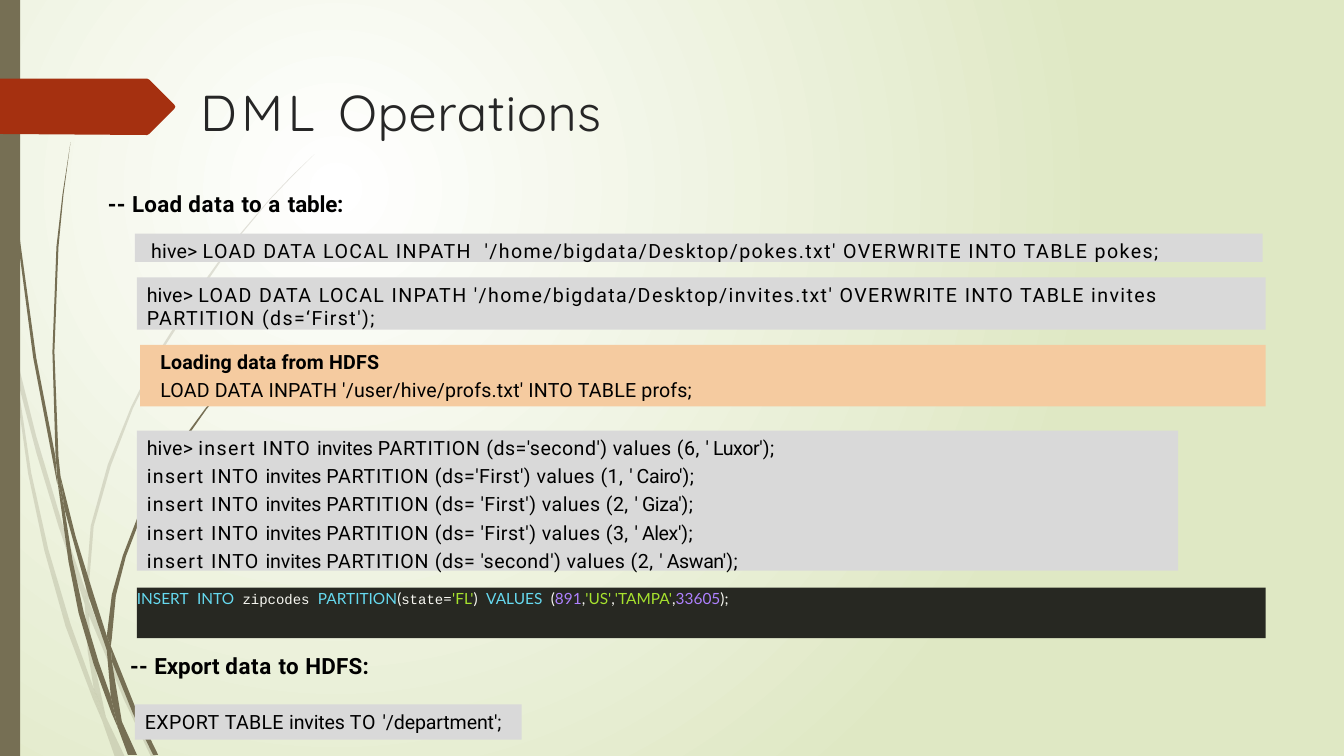
from pptx import Presentation
from pptx.dml.color import RGBColor
from pptx.enum.shapes import MSO_SHAPE
from pptx.enum.text import MSO_ANCHOR, MSO_AUTO_SIZE, PP_ALIGN
from pptx.oxml.ns import qn
from pptx.util import Cm, Pt
from lxml.etree import SubElement

WHITE = RGBColor(0xFF, 0xFF, 0xFF)
PALE_GREEN = RGBColor(0xDF, 0xE8, 0xC4)
OLIVE = RGBColor(0x76, 0x6F, 0x54)
RUST = RGBColor(0xA5, 0x30, 0x10)
CHARCOAL = RGBColor(0x26, 0x26, 0x26)
BLACK = RGBColor(0, 0, 0)
GRAY = RGBColor(0xD9, 0xD9, 0xD9)
ORANGE = RGBColor(0xF5, 0xCB, 0xA0)
EDITOR = RGBColor(0x27, 0x28, 0x22)
KEYWORD = RGBColor(0x66, 0xD9, 0xEF)
PLAIN = RGBColor(0xF8, 0xF8, 0xF2)
STRING = RGBColor(0xA6, 0xE2, 0x2E)
NUMBER = RGBColor(0xAE, 0x81, 0xFF)

WISP_UNIT = Cm(0.0254)
FADED_WISPS = [
    [(0, 282), (9, 322), (11, 350), (10, 344), (0, 299)],
    [(14, 345), (36, 433), (62, 520), (85, 586), (84, 599), (58, 522), (36, 449), (17, 376)],
    [(88, 596), (127, 692), (155, 751), (150, 751), (123, 694), (88, 610)],
    [(11, 350), (17, 376), (31, 469), (48, 545), (70, 619), (93, 683), (101, 714),
     (92, 693), (65, 621), (44, 546), (28, 470)],
    [(85, 586), (88, 596), (88, 608), (91, 646), (105, 711), (93, 683), (87, 646), (84, 599)],
    [(85, 586), (90, 522), (107, 461), (130, 404), (158, 348), (192, 294), (228, 244),
     (268, 197), (289, 175), (312, 153), (290, 175), (268, 198), (229, 245), (194, 296),
     (160, 349), (132, 405), (110, 462), (93, 522), (88, 584), (88, 596)],
    [(93, 683), (105, 711), (124, 751), (114, 751), (101, 714)],
]
SOLID_WISPS = [
    [(3, 0), (4, 0), (5, 48), (8, 109), (19, 232), (36, 355), (55, 453), (57, 481),
     (33, 355), (17, 233), (7, 110), (4, 48)],
    [(60, 472), (75, 532), (93, 590), (106, 631), (106, 645), (88, 592), (64, 505)],
    [(110, 641), (136, 706), (157, 749), (152, 749), (132, 708), (111, 656)],
    [(57, 477), (64, 505), (72, 556), (83, 607), (98, 657), (110, 691), (117, 722),
     (111, 708), (93, 659), (78, 608), (68, 557)],
    [(70, 141), (63, 193), (58, 245), (54, 349), (58, 453), (60, 472), (64, 505),
     (57, 477), (55, 449), (52, 349), (56, 245), (62, 193)],
    [(106, 631), (111, 590), (122, 551), (137, 512), (156, 474), (179, 439), (204, 405),
     (231, 373), (260, 344), (231, 374), (205, 406), (181, 440), (158, 476), (140, 513),
     (125, 552), (115, 591), (111, 633), (110, 641)],
    [(106, 631), (110, 641), (111, 656), (121, 716), (136, 749), (127, 749), (117, 722),
     (110, 691), (106, 645)],
]
ARROW = [(0, 78), (146, 78), (148, 79), (173, 104), (174, 106), (173, 108), (148, 133),
         (146, 134), (0, 133)]

INSERTED_ROWS = [
    ("(ds='First') values (1, ", "' Cairo'"),
    ("(ds= 'First') values (2, ", "' Giza'"),
    ("(ds= 'First') values (3, ", "' Alex'"),
    ("(ds= 'second') values (2, ", "' Aswan'"),
]
ZIPCODE_TOKENS = [
    ("INSERT", KEYWORD), (" ", None), ("INTO", KEYWORD), (" zipcodes ", None),
    ("PARTITION", KEYWORD), ("(", PLAIN), ("state", None), ("=", PLAIN), ("'FL'", STRING),
    (")", PLAIN), (" ", None), ("VALUES", KEYWORD), (" ", None), ("(", PLAIN),
    ("891", NUMBER), (",", PLAIN), ("'US'", STRING), (",", PLAIN), ("'TAMPA'", STRING),
    (",", PLAIN), ("33605", NUMBER), (");", PLAIN),
]


def insert_line(values, city):
    """Return the spaced runs of one insert statement."""
    return [("insert ", 1), ("INTO ", 0.8), ("invites ", -0.1), ("PARTITION ", 0.5),
            (values, 0.3), (city, -0.3), (");", 0.3)]


class SlideBuilder:
    """Hold the current slide and draw its elements in one style."""

    def __init__(self, slide):
        """Keep the slide to draw on."""
        self.slide = slide

    def background(self, inner, outer):
        """Fill the background with a radial gradient."""
        fill = self.slide.background.fill
        fill.gradient()
        for stop, color in zip(fill.gradient_stops, (inner, outer)):
            stop.color.rgb = color
        gradient = next(self.slide.element.iter(qn("a:gradFill")))
        gradient.remove(gradient.find(qn("a:lin")))
        circle = SubElement(gradient, qn("a:path"), path="circle")
        SubElement(circle, qn("a:fillToRect"), l="50000", t="50000", r="100000", b="100000")

    def paint(self, shape, color, alpha=None):
        """Give a shape a flat fill without line or shadow."""
        shape.shadow.inherit = False
        shape.line.fill.background()
        shape.fill.solid()
        shape.fill.fore_color.rgb = color
        if alpha:
            SubElement(next(shape.element.spPr.iter(qn("a:srgbClr"))), qn("a:alpha"),
                       val=str(alpha * 1000))

    def outline(self, points, color, alpha=None):
        """Draw a closed filled outline."""
        builder = self.slide.shapes.build_freeform(*points[0], scale=WISP_UNIT)
        builder.add_line_segments(points[1:], close=True)
        self.paint(builder.convert_to_shape(), color, alpha)

    def box(self, left, top, width, height, color):
        """Draw a filled rectangle and return it."""
        shape = self.slide.shapes.add_shape(
            MSO_SHAPE.RECTANGLE, Cm(left), Cm(top), Cm(width), Cm(height))
        self.paint(shape, color)
        return shape

    def frame(self, shape, left=0, top=0.03):
        """Prepare the text frame of a shape and return it."""
        frame = shape.text_frame
        frame.word_wrap = True
        frame.auto_size = MSO_AUTO_SIZE.NONE
        frame.vertical_anchor = MSO_ANCHOR.TOP
        frame.margin_left, frame.margin_top = Cm(left), Cm(top)
        frame.margin_right = frame.margin_bottom = 0
        return frame

    def line(self, paragraph, runs, size=14, bold=False, name="Roboto", color=BLACK):
        """Write letter-spaced runs into a paragraph."""
        paragraph.alignment = PP_ALIGN.LEFT
        font = paragraph.font
        font.size, font.bold, font.name = Pt(size), bold, name
        font.color.rgb = color
        for text, spacing in runs:
            run = paragraph.add_run()
            run.text = text
            run.font._element.set("spc", str(round(spacing * 100)))

    def title(self, left, top, width, height, runs):
        """Move and fill the title placeholder."""
        title = self.slide.shapes.title
        title.left, title.top = Cm(left), Cm(top)
        title.width, title.height = Cm(width), Cm(height)
        self.line(self.frame(title).paragraphs[0], runs, 36, False, "Quicksand", CHARCOAL)

    def heading(self, left, top, runs):
        """Add a bold section heading."""
        shape = self.slide.shapes.add_textbox(Cm(left), Cm(top), Cm(6.4), Cm(0.74))
        self.line(self.frame(shape).paragraphs[0], runs, 16, True)

    def statements(self, bounds, color, lines, indent=0.25, bold_first=False):
        """Add a filled box of statements, one per paragraph."""
        frame = self.frame(self.box(*bounds, color), indent, 0.13)
        for index, runs in enumerate(lines):
            paragraph = frame.add_paragraph() if index else frame.paragraphs[0]
            paragraph.space_before = Pt(3.4 if index else 0)
            self.line(paragraph, runs, bold=bold_first and index == 0)

    def highlighted(self, bounds, tokens):
        """Add a dark box with one syntax-coloured statement."""
        paragraph = self.frame(self.box(*bounds, EDITOR)).paragraphs[0]
        paragraph.alignment = PP_ALIGN.LEFT
        for text, color in tokens:
            run = paragraph.add_run()
            run.text = text
            run.font.name = "Lato" if color else "Courier New"
            run.font.size = Pt(11 if color else 10)
            run.font.color.rgb = color or PLAIN


def main():
    """Build and save the slide."""
    presentation = Presentation()
    presentation.slide_width, presentation.slide_height = Cm(33.87), Cm(19.05)
    builder = SlideBuilder(presentation.slides.add_slide(presentation.slide_layouts[5]))
    builder.background(WHITE, PALE_GREEN)
    for wisp in FADED_WISPS:
        builder.outline(wisp, OLIVE, 20)
    for wisp in SOLID_WISPS:
        builder.outline(wisp, OLIVE)
    builder.box(0, 0, 0.51, 19.05, OLIVE)
    builder.outline(ARROW, RUST)
    builder.title(5.05, 2.01, 16.21, 1.57, [("DML ", 3.5), ("Operations", 0.5)])
    builder.heading(2.72, 4.75, [("-- ", 0.3), ("Load ", 0.2), ("data ", 0.5), ("to ", 0.3),
                                 ("a ", 0.7), ("table:", -0.1)])
    builder.heading(3.28, 16.41, [("-- ", 0.3), ("Export ", 0), ("data ", 0.5), ("to ", 0.3),
                                  ("HDFS:", 0.2)])
    prompt = ("hive> ", 0.1)
    builder.statements((3.4, 5.89, 28.42, 0.71), GRAY, [[prompt, (
        "LOAD DATA LOCAL INPATH  '/home/bigdata/Desktop/pokes.txt' "
        "OVERWRITE INTO TABLE pokes;", 1)]], 0.41)
    builder.statements((3.45, 6.99, 28.45, 1.32), GRAY, [[prompt, (
        "LOAD DATA LOCAL INPATH '/home/bigdata/Desktop/invites.txt' "
        "OVERWRITE INTO TABLE invites PARTITION (ds=‘First');", 1)]])
    builder.statements((3.4, 17.75, 9.75, 0.89), GRAY, [[
        ("EXPORT ", 0.3), ("TABLE ", 0.2), ("invites ", -0.1), ("TO ", 0.7),
        ("'/department';", -0.1)]])
    first_row = [prompt] + insert_line("(ds='second') values (6, ", "' Luxor'")
    builder.statements((3.45, 10.85, 26.24, 3.53), GRAY,
                       [first_row] + [insert_line(*row) for row in INSERTED_ROWS])
    builder.highlighted((3.45, 14.81, 28.45, 1.27), ZIPCODE_TOKENS)
    builder.statements((3.53, 8.69, 28.37, 1.55), ORANGE, [
        [("Loading data from HDFS", 0.1)],
        [("LOAD DATA INPATH '/user/hive/profs.txt' INTO TABLE profs;", 0.1)]], 0.51, True)
    presentation.save("out.pptx")


if __name__ == "__main__":
    main()
